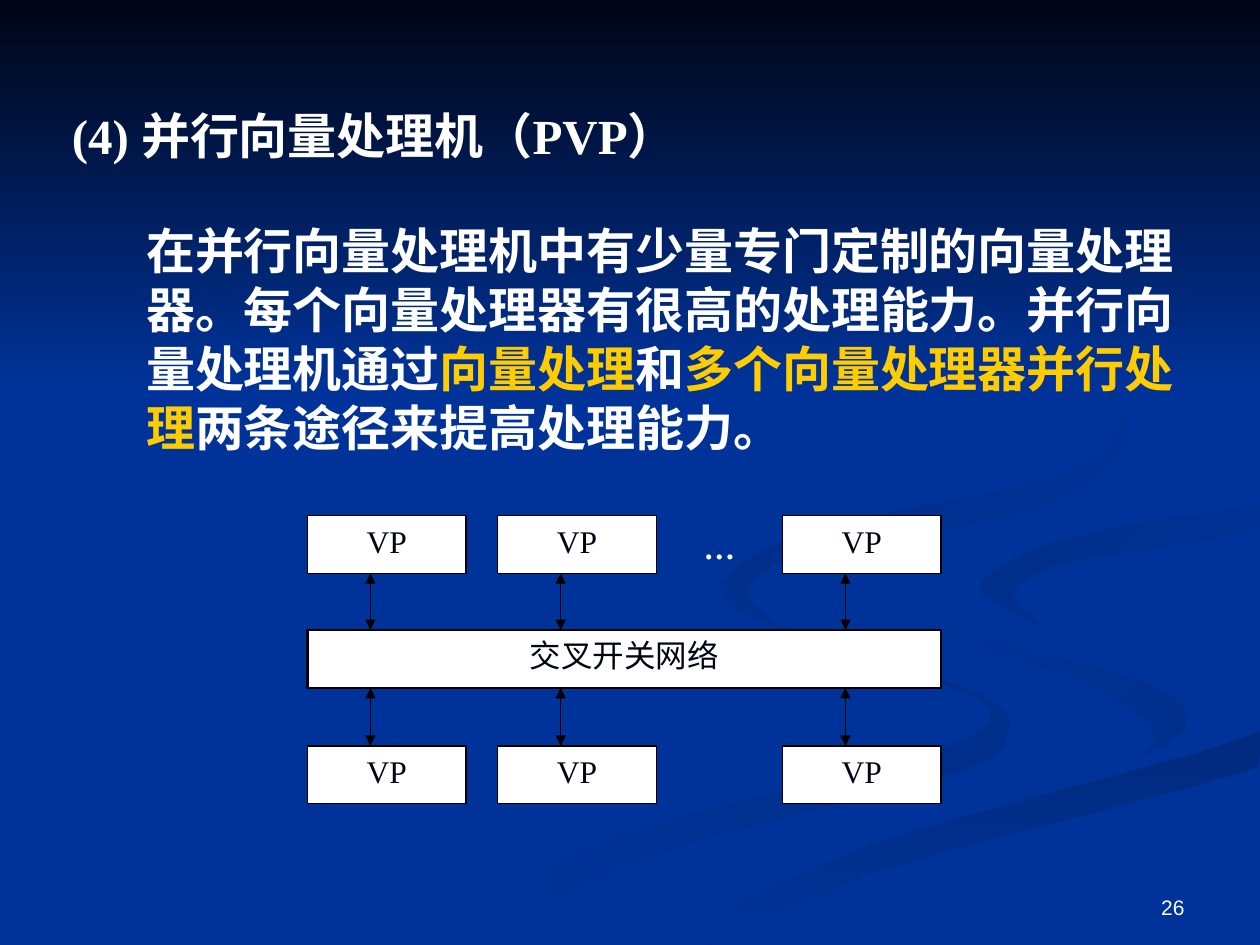
from lxml import etree
from pptx import Presentation
from pptx import util as u
from pptx.dml.color import RGBColor
from pptx.enum import lang, shapes, text
from pptx.oxml import ns

PX = 9144
WIDE, TALL = 1000, 750
WHITE = RGBColor(0xFF, 0xFF, 0xFF)
BLACK = RGBColor(0, 0, 0)
BLUE = RGBColor(0x00, 0x33, 0x99)
NAVY = RGBColor(0x00, 0x05, 0x14)
GOLD = RGBColor(0xFF, 0xCC, 0x00)
DUSK = RGBColor(0x00, 0x2E, 0x8B)
DEEP = RGBColor(0x00, 0x2A, 0x7D)
SHADE = RGBColor(0x00, 0x2D, 0x86)
DARK = RGBColor(0x00, 0x2B, 0x82)
SERIF = "Times New Roman"

WAVES = [
    ([(781, 553), (682, 519), (594, 485), (575, 459), (581, 483),
      (679, 519), (785, 562), (727, 602), (499, 661), (300, 749),
      (361, 749), (532, 674), (756, 614), (800, 581)], BLUE, DUSK, 0),
    ([(943, 570), (905, 540), (758, 498), (724, 464), (755, 505),
      (868, 544), (917, 585), (894, 605), (932, 589)], BLUE, DUSK, 45),
    ([(503, 749), (571, 749), (695, 692), (998, 609), (998, 581),
      (764, 647), (630, 693)], DEEP, BLUE, 90),
    ([(725, 464), (759, 498), (905, 540), (943, 570), (892, 605),
      (663, 668), (477, 749), (519, 747), (696, 669), (999, 581),
      (999, 538), (832, 498), (781, 463), (822, 434), (999, 402),
      (999, 387), (788, 422)], BLUE, BLUE, 0),
    ([(781, 460), (791, 478), (826, 496), (805, 472), (843, 448),
      (998, 420), (998, 402), (849, 427)], SHADE, BLUE, 45),
    ([(683, 430), (825, 402), (894, 344), (843, 275), (762, 233),
      (846, 279), (889, 335), (842, 378), (649, 420), (577, 462),
      (622, 500), (593, 470), (624, 444)], DARK, BLUE, 45),
]


def box(x, y, w, h):
    return [v * PX for v in (x, y, w, h)]


def smooth(points, steps=5):
    curve = []
    for i, b in enumerate(points):
        a, c = points[i - 1], points[(i + 1) % len(points)]
        d = points[(i + 2) % len(points)]
        for k in range(steps):
            t = k / steps
            spot = [q + t * (r - p + t * (2 * p - 5 * q + 4 * r - s
                    + t * (3 * q - p - 3 * r + s))) / 2
                    for p, q, r, s in zip(a, b, c, d)]
            curve.append([round(min(max(v, 0), top))
                          for v, top in zip(spot, (WIDE, TALL))])
    return curve


def write(frame, parts, size=18, face=SERIF, bold=False,
          align=text.PP_ALIGN.LEFT, anchor=text.MSO_ANCHOR.TOP):
    frame.auto_size = text.MSO_AUTO_SIZE.NONE
    frame.word_wrap = True
    frame.vertical_anchor = anchor
    para = frame.paragraphs[0]
    para.alignment = align
    para.space_before = u.Pt(0)
    for words, hue in parts:
        run = para.add_run()
        run.text = words
        font = run.font
        font.name, font.size, font.bold = face, u.Pt(size), bold
        font.color.rgb = hue
        font.language_id = lang.MSO_LANGUAGE_ID.SIMPLIFIED_CHINESE
    return para


def label(slide, x, y, w, h, words, **kind):
    item = slide.shapes.add_textbox(*box(x, y, w, h))
    write(item.text_frame, [(words, WHITE)], **kind)


def node(slide, x, y, w, h, words, width=0.75):
    item = slide.shapes.add_shape(shapes.MSO_SHAPE.RECTANGLE, *box(x, y, w, h))
    item.shadow.inherit = False
    item.fill.solid()
    item.fill.fore_color.rgb = WHITE
    item.line.color.rgb = BLACK
    item.line.width = u.Pt(width)
    write(item.text_frame, [(words, NAVY)], align=text.PP_ALIGN.CENTER)


def arrow(slide, x, top, end):
    item = slide.shapes.add_connector(
        shapes.MSO_CONNECTOR.STRAIGHT, x * PX, top * PX, x * PX, end * PX)
    item.line.color.rgb = BLACK
    item.line.width = u.Pt(0.75)
    line = item.line._get_or_add_ln()
    for tag in ("a:headEnd", "a:tailEnd"):
        etree.SubElement(line, ns.qn(tag), type="triangle")
    etree.SubElement(item._element.spPr, ns.qn("a:effectLst"))


def blend(item, first, last, angle):
    item.shadow.inherit = False
    item.line.fill.background()
    item.fill.gradient()
    item.fill.gradient_angle = 360 - angle
    for stop, hue in zip(item.fill.gradient_stops, (first, last)):
        stop.color.rgb = hue


def backdrop(slide, x, y, w, h):
    slide.background.fill.solid()
    slide.background.fill.fore_color.rgb = BLUE
    for points, first, last, angle in WAVES:
        curve = smooth(points)
        pen = slide.shapes.build_freeform(*curve[0], scale=PX)
        pen.add_line_segments(curve[1:], close=True)
        blend(pen.convert_to_shape(x * PX, y * PX), first, last, angle)
    sky = slide.shapes.add_shape(shapes.MSO_SHAPE.RECTANGLE, *box(x, y, w, h))
    blend(sky, NAVY, BLUE, 90)


def holder(item, x, y, w, h, parts, **kind):
    item.left, item.top, item.width, item.height = box(x, y, w, h)
    item._element.getparent().append(item._element)
    para = write(item.text_frame, parts, size=28, bold=True, **kind)
    props = para._p.get_or_add_pPr()
    props.set("marL", "0")
    props.set("indent", "0")
    etree.SubElement(props, ns.qn("a:buNone"))


def diagram(slide, x, y, w, h):
    wide, tall = 126, 46
    mid = y + (h - tall) // 2
    low = y + h - tall
    label(slide, x + 264, y + 5, wide, tall, "…", bold=True,
          align=text.PP_ALIGN.CENTER)
    node(slide, x, mid, w, tall, "交叉开关网络", width=1.5)
    for left in (0, 151, w - wide):
        for top in (y, low):
            node(slide, x + left, top, wide, tall, "VP")
        for top, end in ((y + tall, mid), (mid + tall, low)):
            arrow(slide, x + left + 50, top, end)


def main():
    deck = Presentation()
    deck.slide_width, deck.slide_height = WIDE * PX, TALL * PX
    slide = deck.slides.add_slide(deck.slide_layouts[1])
    backdrop(slide, 0, 0, WIDE, 308)
    label(slide, 717, 683, 233, 52, "26", size=12, face="Arial",
          align=text.PP_ALIGN.RIGHT, anchor=text.MSO_ANCHOR.BOTTOM)
    holder(slide.shapes.title, 47, 79, 756, 57,
           [("(4) 并行向量处理机（PVP）", WHITE)])
    holder(slide.placeholders[1], 106, 170, 847, 197, [
        ("在并行向量处理机中有少量专门定制的向量处理器。"
         "每个向量处理器有很高的处理能力。并行向量处理机通过", WHITE),
        ("向量处理", GOLD), ("和", WHITE),
        ("多个向量处理器并行处理", GOLD),
        ("两条途径来提高处理能力。", WHITE),
    ], anchor=text.MSO_ANCHOR.MIDDLE)
    diagram(slide, 244, 409, 503, 229)
    deck.save("out.pptx")


if __name__ == "__main__":
    main()
